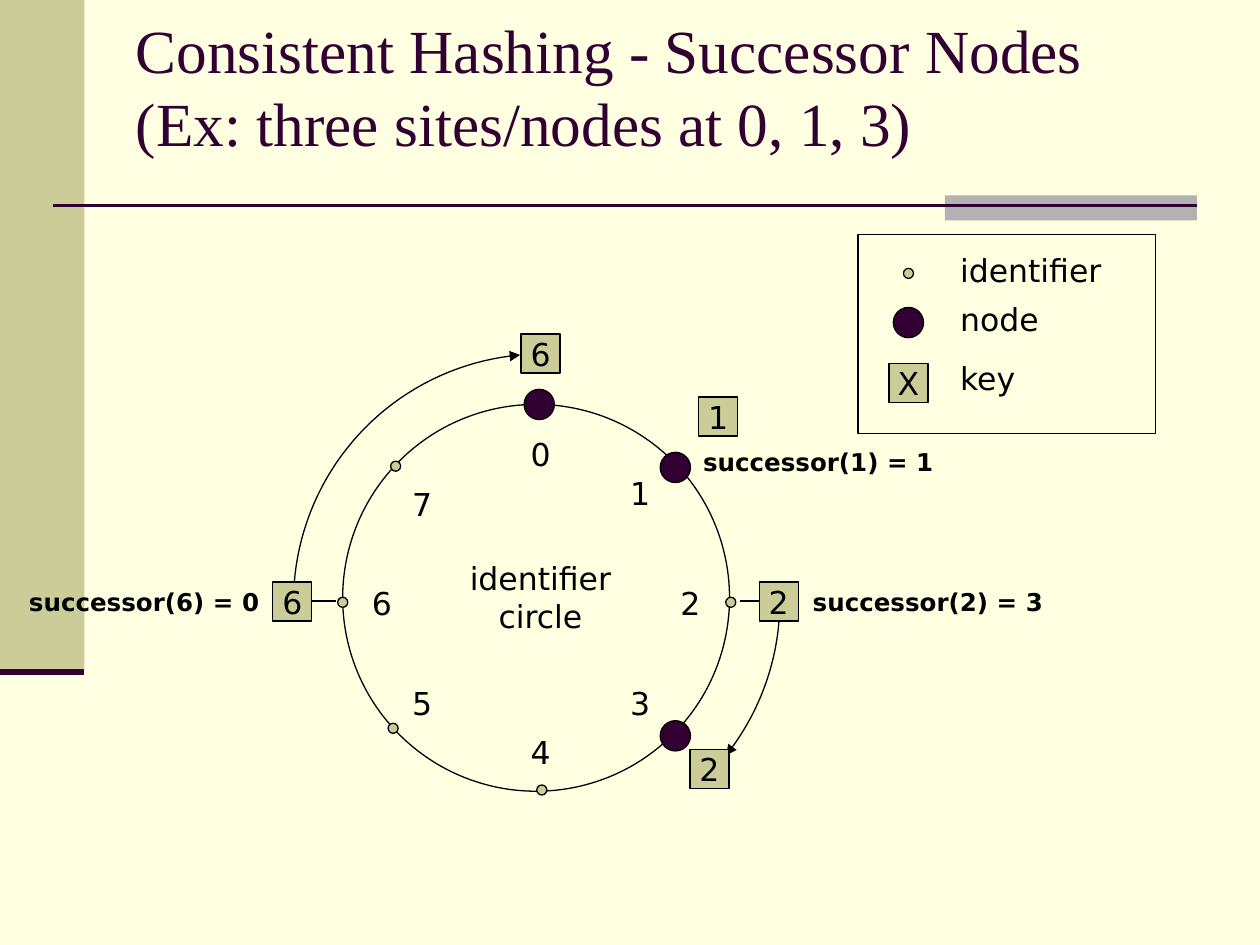
from math import cos, sin, radians
from lxml.etree import SubElement as Sub
from pptx import Presentation
from pptx.dml.color import RGBColor as Rgb
from pptx.enum.shapes import MSO_CONNECTOR as Link, MSO_SHAPE as Kind
from pptx.enum.text import MSO_ANCHOR as Anchor, PP_ALIGN as Align
from pptx.oxml.ns import qn
from pptx.util import Inches, Pt

HUES = {"page": "FFFFE1", "sand": "CCCC99", "plum": "330033",
        "gray": "B2B2B2", "ink": "000000"}
SANS, SERIF = "DejaVu Sans", "Times New Roman"
COLS, ROWS = 100, 75
DOT, NODE, KEY = 0.8, 2.4, 3.1

TITLE = ["Consistent Hashing - Successor Nodes", "(Ex: three sites/nodes at 0, 1, 3)"]
BANDS = [("sand", 0, 0, 6.7, 53.3), ("gray", 75, 15.5, 20, 2)]
RULES = [(4.2, 16.3, 95, 16.3, 1.5), (0, 53.3, 6.7, 53.3, 3.5)]
ARCS = [(43, 47.8, 19.7, 180, 265), (42.2, 47.7, 19.7, 0, 38.4)]
STUBS = [(26.7, 47.7, 23.5, 47.7), (61.8, 47.7, 58.7, 47.7)]
RING = (42.55, 47.45, 30.7)
LABELS = [("0", 42.9, 36.05), ("1", 50.8, 39.15), ("2", 54.8, 47.85), ("3", 50.8, 55.75),
          ("4", 42.9, 59.65), ("5", 33.5, 55.75), ("6", 30.3, 47.85), ("7", 33.5, 39.95)]
DOTS = [(31.4, 37), (31.2, 57.8), (27.2, 47.8), (58, 47.8), (43, 62.7), (72.1, 21.7)]
NODES = [(42.8, 32.1), (53.6, 37.1), (53.6, 58.4), (72.1, 25.6)]
KEYS = [("6", 42.9, 28.05), ("1", 57, 33.05), ("2", 56.3, 61.05), ("6", 23.2, 47.75),
        ("2", 61.8, 47.75), ("X", 72.1, 30.4)]
CALLS = [("successor(1) = 1", 64.95, 36.65), ("successor(2) = 3", 73.65, 47.75),
         ("successor(6) = 0", 11.45, 47.75)]
LEGEND = (68.1, 18.6, 23.6, 15.8)
TERMS = [("identifier", 21.4), ("node", 25.3), ("key", 30)]

deck = Presentation()
deck.slide_width, deck.slide_height = Inches(10), Inches(7.5)
slide = deck.slides.add_slide(deck.slide_layouts[6])
shapes = slide.shapes


def hue(name):
    return Rgb.from_string(HUES[name])


def across(n):
    return round(deck.slide_width * n / COLS)


def down(n):
    return round(deck.slide_height * n / ROWS)


def place(x, y, w, h):
    return across(x), down(y), across(w), down(h)


def style(shape, fill=None, line="ink"):
    shape.shadow.inherit = False
    if fill:
        shape.fill.solid()
        shape.fill.fore_color.rgb = hue(fill)
    else:
        shape.fill.background()
    if line:
        shape.line.color.rgb = hue(line)
        shape.line.width = Pt(0.75)
    else:
        shape.line.fill.background()
    return shape


def draw(kind, box, fill=None, line="ink"):
    return style(shapes.add_shape(kind, *place(*box)), fill, line)


def disc(x, y, size, fill=None):
    draw(Kind.OVAL, (x - size / 2, y - size / 2, size, size), fill)


def rule(x1, y1, x2, y2, tint, width):
    line = shapes.add_connector(Link.STRAIGHT, across(x1), down(y1), across(x2), down(y2))
    line.line.color.rgb = hue(tint)
    line.line.width = Pt(width)
    Sub(line._element.spPr, qn("a:effectLst"))


def write(shape, lines, size=18, bold=False, align=Align.CENTER):
    frame = shape.text_frame
    frame.word_wrap = True
    frame.margin_left = frame.margin_right = 0
    frame.vertical_anchor = Anchor.MIDDLE
    for i, line in enumerate(lines):
        para = frame.add_paragraph() if i else frame.paragraphs[0]
        para.alignment = align
        put(para, line, size, SANS, "ink", bold)


def put(para, text, size, face, tint, bold=False):
    run = para.add_run()
    run.text = text
    font = run.font
    font.size, font.name, font.bold = Pt(size), face, bold
    font.color.rgb = hue(tint)


def label(lines, x, y, w=3.2, h=3.1, **look):
    write(shapes.add_textbox(*place(x - w / 2, y - h / 2, w, h)), lines, **look)


def arc(x, y, r, start, end, steps=40):
    turns = [radians(start + (end - start) * i / steps) for i in range(steps + 1)]
    spots = [(across(x + r * cos(t)), down(y + r * sin(t))) for t in turns]
    pen = shapes.build_freeform(*spots[0])
    pen.add_line_segments(spots[1:], close=False)
    curve = style(pen.convert_to_shape())
    Sub(curve.line._get_or_add_ln(), qn("a:tailEnd"), type="triangle")


slide.background.fill.solid()
slide.background.fill.fore_color.rgb = hue("page")
for tint, *box in BANDS:
    draw(Kind.RECTANGLE, box, tint, None)
for *ends, width in RULES:
    rule(*ends, "plum", width)

head = shapes.add_textbox(*place(9.8, 3.3, 85.1, 9.8)).text_frame
head.word_wrap = True
head.vertical_anchor = Anchor.BOTTOM
para = head.paragraphs[0]
for i, line in enumerate(TITLE):
    if i:
        para.add_line_break()
    put(para, line, 35, SERIF, "plum")

for bend in ARCS:
    arc(*bend)
for ends in STUBS:
    rule(*ends, "ink", 0.75)
disc(*RING)
draw(Kind.RECTANGLE, LEGEND)
for x, y in DOTS:
    disc(x, y, DOT, "sand")
for x, y in NODES:
    disc(x, y, NODE, "plum")
for text, x, y in KEYS:
    write(draw(Kind.RECTANGLE, (x - KEY / 2, y - KEY / 2, KEY, KEY), "sand"), [text])

for text, x, y in LABELS:
    label([text], x, y)
label(["identifier", "circle"], 42.9, 47.35, 12.6, 7.1)
for text, x, y in CALLS:
    label([text], x, y, 20, size=14, bold=True)
for text, y in TERMS:
    label([text], 82.5, y, 12.6, 2.4, align=Align.LEFT)

deck.save("out.pptx")
